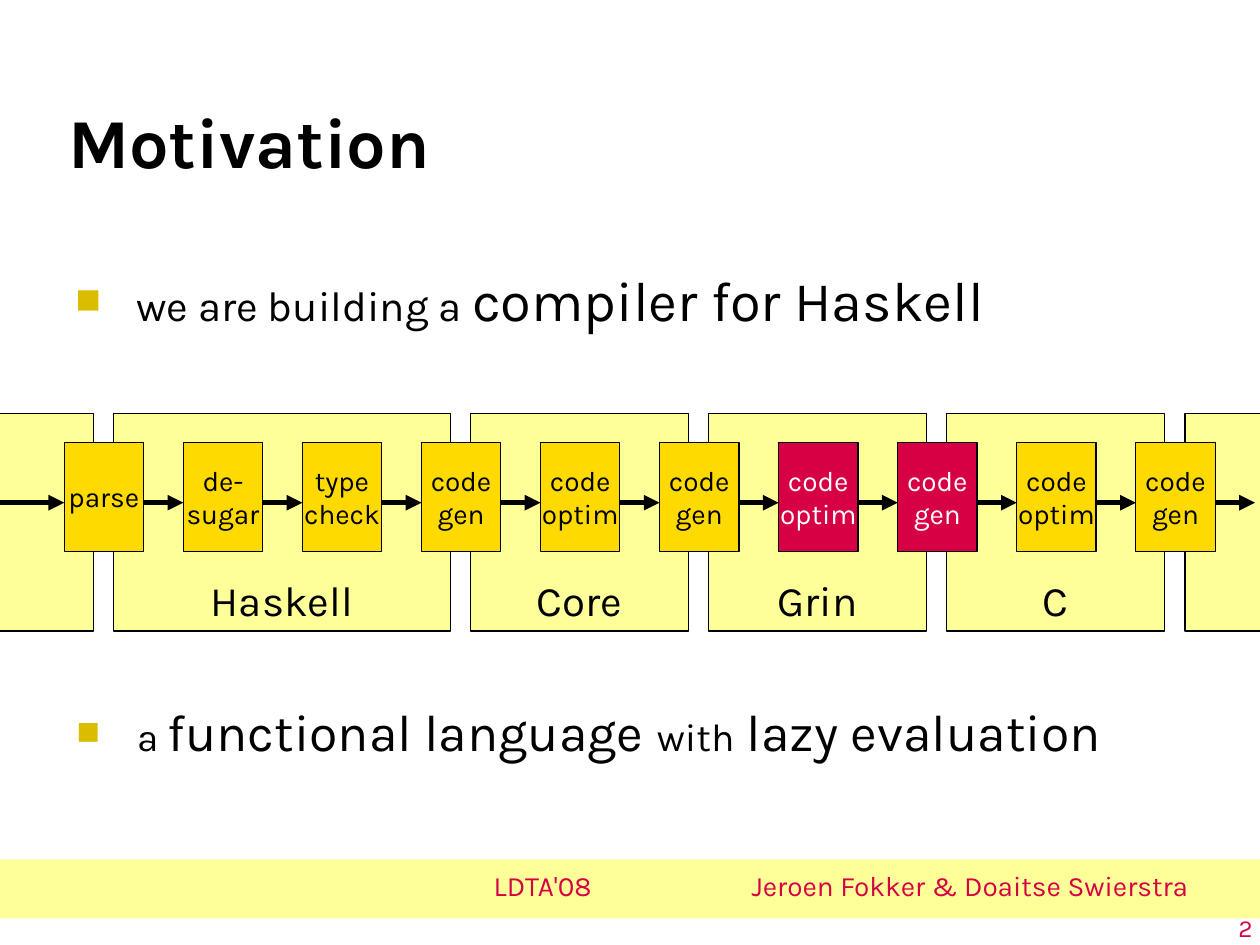
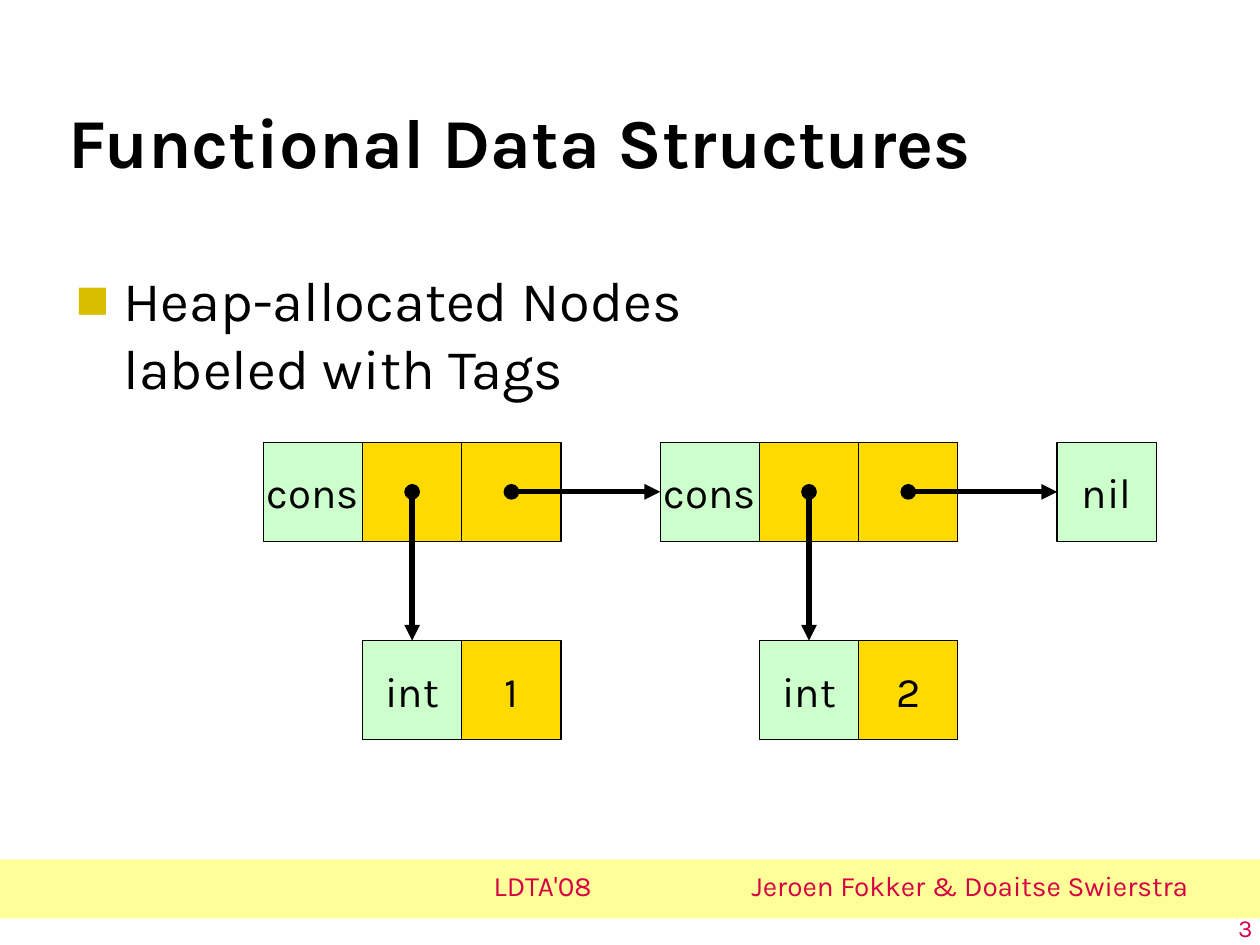
from lxml import etree
from pptx import Presentation
from pptx.dml.color import RGBColor
from pptx.enum.shapes import MSO_CONNECTOR, MSO_SHAPE
from pptx.enum.text import MSO_ANCHOR, MSO_AUTO_SIZE, PP_ALIGN
from pptx.oxml.ns import qn
from pptx.util import Inches, Pt

RECTANGLE = MSO_SHAPE.RECTANGLE
STRAIGHT = MSO_CONNECTOR.STRAIGHT
TOP, MIDDLE, BOTTOM = MSO_ANCHOR.TOP, MSO_ANCHOR.MIDDLE, MSO_ANCHOR.BOTTOM
LEFT, CENTER, RIGHT = PP_ALIGN.LEFT, PP_ALIGN.CENTER, PP_ALIGN.RIGHT
TOP_SIDE, LEFT_SIDE = 0, 1

FONT = "Karla"
BLACK, WHITE = "000000", "FFFFFF"
PALE, GOLD, MINT, CRIMSON = "FFFF99", "FEDA00", "CCFFCC", "D70044"
BULLET = "DBBD00"

WIDTH, HEIGHT = 10, 7.5
CELL = 6.3 / 8  # grid unit in inches shared by both diagrams
DIAGRAM_TOP = 3.51

# Compiler pipeline
STEP = 1.2 * CELL
STAGE_LEFT, STAGE_WIDTH, STAGE_HEIGHT = 0.51, 0.8 * CELL, 1.1 * CELL
FLOW_Y = 3.99
PANEL_LEFT, PANEL_TOP, PANEL_HEIGHT, PANEL_GAP = 0.9, 3.28, 1.73, 0.16
PANELS = [  # first step, steps covered, language
    (-2, 2, ""),
    (0, 3, "Haskell"),
    (3, 2, "Core"),
    (5, 2, "Grin"),
    (7, 2, "C"),
    (9, 2, ""),
]
STAGES = ["parse", "de-\vsugar", "type\vcheck", "code\vgen", "code\voptim",
          "code\vgen", "code\voptim", "code\vgen", "code\voptim", "code\vgen"]
GRIN_STAGES = (6, 7)

# Heap nodes
HEAP_LEFT = 2.09
LIST_COLUMNS = 4  # columns from one list node to the next


def rgb(color):
    return RGBColor.from_string(color)


def style_span(span, size, color=BLACK, bold=False):
    span.font.name = FONT
    span.font.size = Pt(size)
    span.font.bold = bold
    span.font.color.rgb = rgb(color)


def write(shape, text, size, color=BLACK, align=LEFT, anchor=MIDDLE,
          bold=False, wrap=True):
    frame = shape.text_frame
    frame.text = text
    frame.word_wrap = wrap
    frame.auto_size = MSO_AUTO_SIZE.NONE
    frame.vertical_anchor = anchor
    para = frame.paragraphs[0]
    para.alignment = align
    para.space_before = Pt(0)
    for span in para.runs:
        style_span(span, size, color, bold)
    for line_break in para._p.findall(qn("a:br")):
        etree.SubElement(line_break, qn("a:rPr"), sz=str(size * 100))
    return para


def place(shape, left, top, width, height):
    shape.left, shape.top = Inches(left), Inches(top)
    shape.width, shape.height = Inches(width), Inches(height)


def add_box(slide, left, top, width, height, fill, outlined=True):
    box = slide.shapes.add_shape(RECTANGLE, Inches(left), Inches(top),
                                 Inches(width), Inches(height))
    box.shadow.inherit = False
    box.fill.solid()
    box.fill.fore_color.rgb = rgb(fill)
    if outlined:
        box.line.color.rgb = rgb(BLACK)
        box.line.width = Pt(0.75)
    else:
        box.line.fill.background()
    return box


def add_text(slide, left, top, width, height):
    return slide.shapes.add_textbox(Inches(left), Inches(top),
                                    Inches(width), Inches(height))


def add_arrow(slide, start, end, dotted=False):
    """Draw a thick arrow, with a dot at its start if dotted."""
    arrow = slide.shapes.add_connector(STRAIGHT, *map(Inches, start + end))
    arrow.line.color.rgb = rgb(BLACK)
    arrow.line.width = Pt(3)
    line = arrow.line._get_or_add_ln()
    if dotted:
        etree.SubElement(line, qn("a:headEnd"), type="oval")
    etree.SubElement(line, qn("a:tailEnd"), type="triangle")
    etree.SubElement(arrow._element.spPr, qn("a:effectLst"))
    return arrow


def add_bullet(para, hang):
    properties = para._p.get_or_add_pPr()
    properties.set("marL", str(Inches(hang)))
    properties.set("indent", str(-Inches(hang)))
    color = etree.SubElement(properties, qn("a:buClr"))
    etree.SubElement(color, qn("a:srgbClr"), val=BULLET)
    etree.SubElement(properties, qn("a:buFont"), typeface="Arial")
    etree.SubElement(properties, qn("a:buChar"), char="■")


def write_bullet(shape, spans, hang):
    """Fill a shape with one bulleted paragraph of (text, size) spans."""
    (first, size), *others = spans
    para = write(shape, first, size, anchor=TOP)
    add_bullet(para, hang)
    for text, size in others:
        span = para.add_run()
        span.text = text
        style_span(span, size)
    return para


def add_page(deck, title, number):
    page = deck.slides.add_slide(deck.slide_layouts[1])
    add_box(page, 0, 6.82, WIDTH, 0.47, PALE, outlined=False)
    place(page.shapes.title, 0.44, 0.25, 8.5, 1.25)
    write(page.shapes.title, title, 40, anchor=BOTTOM, bold=True)
    footers = [
        ((4.45, 6.82, 5.08, 0.39), "Jeroen Fokker & Doaitse Swierstra", 16, RIGHT),
        ((9.22, 7.22, 0.82, 0.31), str(number), 14, RIGHT),
        ((3.82, 6.82, 3.39, 0.39), "LDTA'08", 16, LEFT),
    ]
    for area, text, size, align in footers:
        write(add_text(page, *area), text, size, CRIMSON, align, BOTTOM)
    return page


def add_panel(page, first, steps, language):
    panel = add_box(page, PANEL_LEFT + first * STEP, PANEL_TOP,
                    steps * STEP - PANEL_GAP, PANEL_HEIGHT, PALE)
    if language:
        write(panel, language, 24, align=CENTER, anchor=BOTTOM, wrap=False)


def add_pipeline(page):
    for panel in PANELS:
        add_panel(page, *panel)
    for index in range(len(STAGES) + 1):
        tip = STAGE_LEFT + index * STEP
        start = tip - CELL / 2 if index else 0
        add_arrow(page, (start, FLOW_Y), (tip, FLOW_Y))
    for index, label in enumerate(STAGES):
        fill, color = (CRIMSON, WHITE) if index in GRIN_STAGES else (GOLD, BLACK)
        stage = add_box(page, STAGE_LEFT + index * STEP, DIAGRAM_TOP,
                        STAGE_WIDTH, STAGE_HEIGHT, fill)
        write(stage, label, 16, color, CENTER, wrap=False)


def add_node(page, column, row, *labels):
    """Draw a heap node and return the cell that holds its tag."""
    cells = []
    for offset, label in enumerate(labels):
        cell = add_box(page, HEAP_LEFT + (column + offset) * CELL,
                       DIAGRAM_TOP + row * CELL, CELL, CELL,
                       GOLD if offset else MINT)
        if label:
            write(cell, label, 24, align=CENTER, wrap=False)
        cells.append(cell)
    return cells[0]


def add_pointer(page, column, row, target, side):
    """Point from the centre of a grid cell to a side of the target."""
    start = (HEAP_LEFT + (column + 0.5) * CELL, DIAGRAM_TOP + (row + 0.5) * CELL)
    add_arrow(page, start, start, dotted=True).end_connect(target, side)


def add_heap(page, values):
    columns = [index * LIST_COLUMNS for index in range(len(values))]
    tags = [add_node(page, column, 0, "cons", "", "") for column in columns]
    tags.append(add_node(page, len(values) * LIST_COLUMNS, 0, "nil"))
    for column, value, following in zip(columns, values, tags[1:]):
        number = add_node(page, column + 1, 2, "int", value)
        add_pointer(page, column + 1, 0, number, TOP_SIDE)
        add_pointer(page, column + 2, 0, following, LEFT_SIDE)


def main():
    deck = Presentation()
    deck.slide_width, deck.slide_height = Inches(WIDTH), Inches(HEIGHT)

    motivation = add_page(deck, "Motivation", 2)
    body = motivation.placeholders[1]
    place(body, 0.5, 2.06, 8.94, 0.82)
    write_bullet(body, [("we are building a ", 24), ("compiler for Haskell", 32)], 0.48)
    add_pipeline(motivation)
    remark = add_text(motivation, 0.51, 5.56, 8.94, 0.82)
    para = write_bullet(remark, [("a ", 22.2), ("functional language ", 29.6),
                                 ("with", 22.2), (" lazy evaluation", 29.6)], 0.48)
    para.line_spacing = 0.9

    structures = add_page(deck, "Functional Data Structures", 3)
    body = structures.placeholders[1]
    place(body, 0.5, 2.06, 8.94, 1.37)
    write_bullet(body, [("Heap-allocated Nodes\vlabeled with Tags", 32)], 0.38)
    add_heap(structures, ["1", "2"])

    deck.save("out.pptx")


if __name__ == "__main__":
    main()
